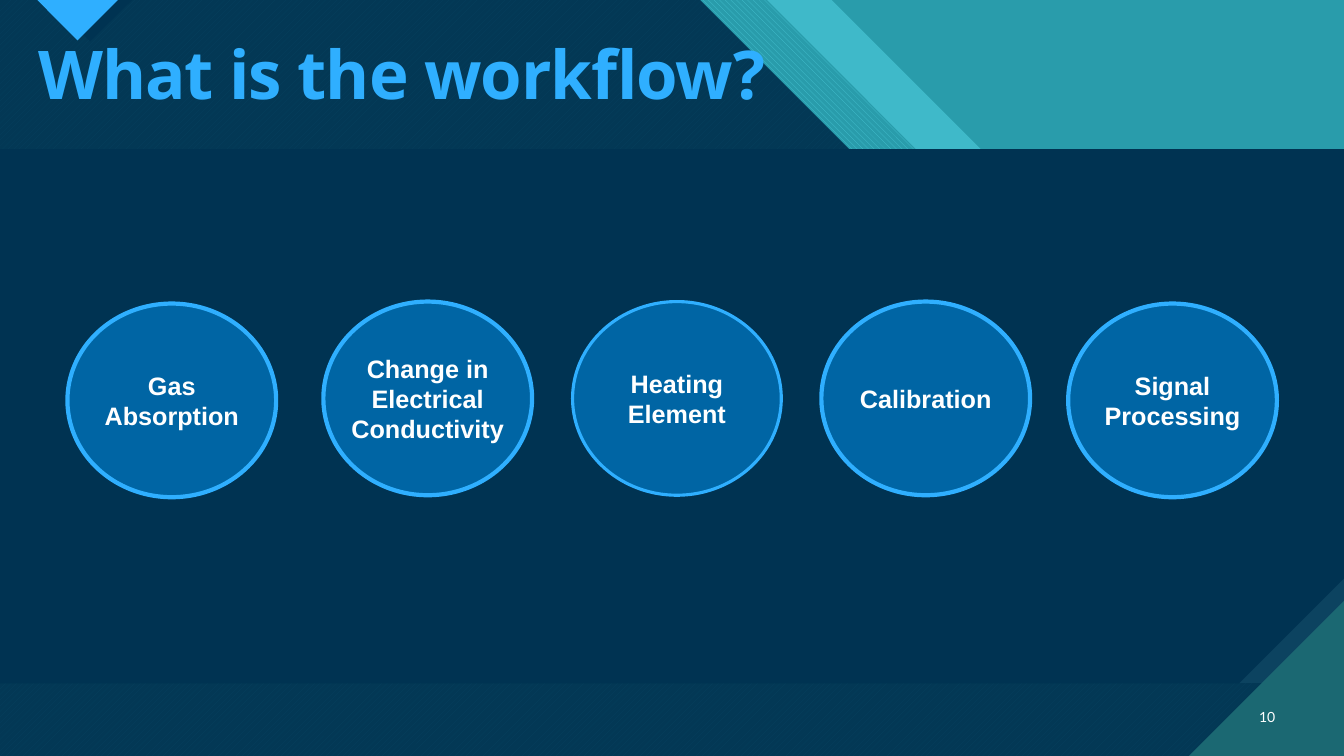
from pptx import Presentation
from pptx.dml.color import RGBColor
from pptx.enum.dml import MSO_PATTERN
from pptx.enum.shapes import MSO_SHAPE
from pptx.enum.text import MSO_ANCHOR as Anchor, PP_ALIGN as Align
from pptx.util import Cm, Pt

NAVY = RGBColor(0x00, 0x33, 0x52)
NAVY_LINE = RGBColor(0x07, 0x41, 0x5F)
NAVY_GROUND = RGBColor(0x03, 0x38, 0x55)
PANEL_EDGE = RGBColor(0x0C, 0x43, 0x60)
TEAL = RGBColor(0x29, 0x9C, 0xAB)
LIGHT_TEAL = RGBColor(0x3F, 0xB9, 0xC9)
HATCH_TEAL = RGBColor(0x47, 0xC3, 0xD3)
DARK_TEAL = RGBColor(0x1B, 0x68, 0x72)
SKY = RGBColor(0x2F, 0xAF, 0xFF)
BLUE = RGBColor(0x00, 0x65, 0xA4)
WHITE = RGBColor(0xFF, 0xFF, 0xFF)

# Content: lines of each step, left and top of its circle (cm), outline (pt)
TITLE = "What is the workflow?"
PAGE_NUMBER = "10"
STEPS = [
    (["Gas Absorption"], 1.7, 7.65, 3),
    (["Change in", "Electrical", "Conductivity"], 8.15, 7.6, 3),
    (["Heating", "Element"], 14.43, 7.6, 2.25),
    (["Calibration"], 20.7, 7.6, 3),
    (["Signal Processing"], 26.92, 7.65, 3),
]

# Layout in cm
WIDTH, HEIGHT = 33.87, 19.05
HEADER, FOOTER_TOP = 3.76, 17.22
CIRCLE_WIDTH, CIRCLE_HEIGHT = 5.26, 4.88
STRIPE_EDGES = [17.65, 19.33, 20.96]
SNIP, CORNER = 2.64, 3.91

presentation = Presentation()
presentation.slide_width, presentation.slide_height = Cm(WIDTH), Cm(HEIGHT)
slide = presentation.slides.add_slide(presentation.slide_layouts[5])
slide.background.fill.solid()
slide.background.fill.fore_color.rgb = TEAL


def add_polygon(points, color, pattern=None, ground=None):
    start, *others = [(Cm(x), Cm(y)) for x, y in points]
    builder = slide.shapes.build_freeform(*start)
    builder.add_line_segments(others, close=True)
    shape = builder.convert_to_shape()
    shape.shadow.inherit = False
    shape.line.fill.background()
    if pattern is None:
        shape.fill.solid()
    else:
        shape.fill.patterned()
        shape.fill.pattern = pattern
        shape.fill.back_color.rgb = ground
    shape.fill.fore_color.rgb = color


def add_run(paragraph, text, font, size, color, bold=False):
    run = paragraph.add_run()
    run.text = text
    run.font.name, run.font.size, run.font.bold = font, Pt(size), bold
    run.font.color.rgb = color
    return run


def set_margins(frame, side=0):
    frame.margin_left = frame.margin_right = Cm(side)
    frame.margin_top = frame.margin_bottom = Cm(0)


# Header: slanted stripes at 45 degrees, right of the navy ground
def stripe(left, right):
    return [(left, 0), (right, 0), (right + HEADER, HEADER), (left + HEADER, HEADER)]


hatch_left, band_left, band_right = STRIPE_EDGES
add_polygon([(0, 0), (hatch_left, 0), (hatch_left + HEADER, HEADER), (0, HEADER)],
            NAVY_LINE, MSO_PATTERN.WIDE_UPWARD_DIAGONAL, NAVY_GROUND)
add_polygon(stripe(hatch_left, band_left), HATCH_TEAL,
            MSO_PATTERN.WIDE_DOWNWARD_DIAGONAL, TEAL)
add_polygon(stripe(band_left, band_right), LIGHT_TEAL)

# Marker above the title, with its shade
for left, right, depth, color in [(1.22, 3.33, 1.04, NAVY), (0.94, 2.97, 1.02, SKY)]:
    add_polygon([(left, 0), (right, 0), ((left + right) / 2, depth)], color)

# Footer, panel with a snipped corner, page corner
add_polygon([(0, FOOTER_TOP), (WIDTH, FOOTER_TOP), (WIDTH, HEIGHT), (0, HEIGHT)],
            NAVY_LINE, MSO_PATTERN.WIDE_UPWARD_DIAGONAL, NAVY_GROUND)
add_polygon([(0, HEADER), (WIDTH, HEADER), (WIDTH, FOOTER_TOP), (0, FOOTER_TOP)],
            PANEL_EDGE)
add_polygon([(0, HEADER), (WIDTH, HEADER), (WIDTH, FOOTER_TOP - SNIP),
             (WIDTH - SNIP, FOOTER_TOP), (0, FOOTER_TOP)], NAVY)
add_polygon([(WIDTH - CORNER, HEIGHT), (WIDTH, HEIGHT - CORNER), (WIDTH, HEIGHT)],
            DARK_TEAL)

# Title, brought in front of the backdrop
title = slide.shapes.title
slide.shapes.element.append(title.element)
title.left, title.top, title.width, title.height = Cm(0.71), Cm(1.04), Cm(31.14), Cm(2.11)
frame = title.text_frame
frame.vertical_anchor = Anchor.TOP
set_margins(frame, 0.25)
paragraph = frame.paragraphs[0]
paragraph.alignment = Align.LEFT
paragraph.line_spacing = 0.9
run = add_run(paragraph, TITLE, "Noto Sans", 48, SKY, bold=True)
run.font._element.set("spc", "-70")

# Page number
number_box = slide.shapes.add_textbox(Cm(31.27), Cm(17.55), Cm(1.12), Cm(1.02))
frame = number_box.text_frame
frame.word_wrap = True
frame.vertical_anchor = Anchor.MIDDLE
frame.paragraphs[0].alignment = Align.RIGHT
add_run(frame.paragraphs[0], PAGE_NUMBER, "Lato", 10, WHITE)

# Workflow steps
for lines, left, top, outline in STEPS:
    circle = slide.shapes.add_shape(MSO_SHAPE.OVAL, Cm(left), Cm(top),
                                    Cm(CIRCLE_WIDTH), Cm(CIRCLE_HEIGHT))
    circle.shadow.inherit = False
    circle.fill.solid()
    circle.fill.fore_color.rgb = BLUE
    circle.line.color.rgb = SKY
    circle.line.width = Pt(outline)
    frame = circle.text_frame
    frame.word_wrap = len(lines) == 1
    frame.vertical_anchor = Anchor.MIDDLE
    set_margins(frame)
    for index, line in enumerate(lines):
        paragraph = frame.add_paragraph() if index else frame.paragraphs[0]
        paragraph.alignment = Align.CENTER
        add_run(paragraph, line, "Arial", 18, WHITE, bold=True)

presentation.save("out.pptx")
